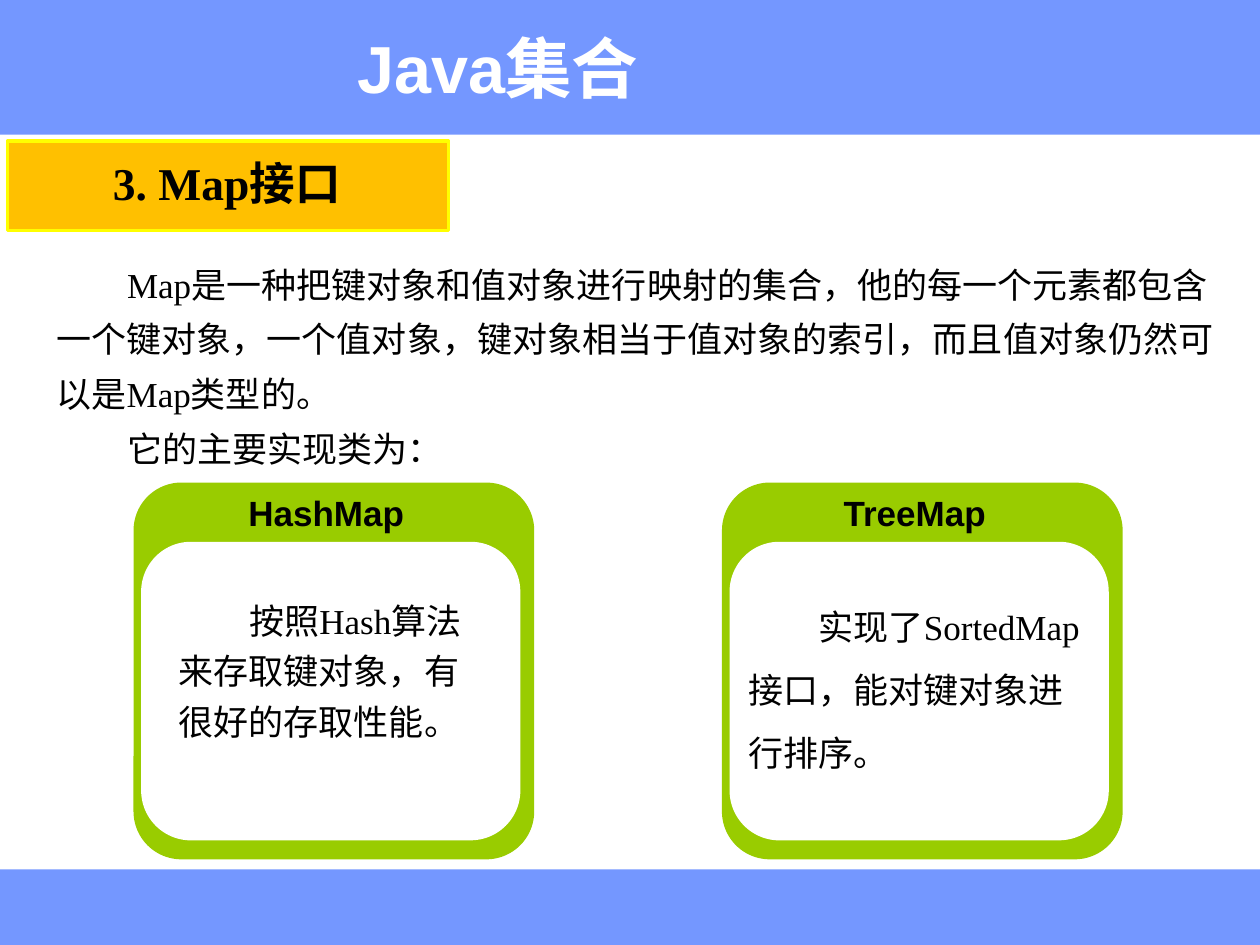
from pptx import Presentation
from pptx.dml.color import RGBColor
from pptx.enum.shapes import MSO_SHAPE as Shape
from pptx.enum.text import MSO_ANCHOR as Anchor, PP_ALIGN as Align
from pptx.oxml.ns import qn
from pptx.util import Inches, Pt
from lxml import etree

COLORS = {
    "bar": "3366FF",
    "label": "FFC000",
    "label_edge": "FFFF00",
    "card": "99CC00",
    "white": "FFFFFF",
    "black": "000000",
}
SERIF, SANS = "Times New Roman", "Arial"
FIRST_LINE = Inches(0.56)  # two characters at 20 pt

DEFINITION = [
    "Map是一种把键对象和值对象进行映射的集合，他的每一个元素都包含一个键对象，"
    "一个值对象，键对象相当于值对象的索引，而且值对象仍然可以是Map类型的。",
    "它的主要实现类为：",
]


def rgb(name):
    return RGBColor.from_string(COLORS[name])


def add_panel(slide, box, fill, corner=None, edge=None, opacity=None):
    """Filled rectangle, rounded when corner is given."""
    kind = Shape.RECTANGLE if corner is None else Shape.ROUNDED_RECTANGLE
    panel = slide.shapes.add_shape(kind, *map(Inches, box))
    panel.shadow.inherit = False
    panel.fill.solid()
    panel.fill.fore_color.rgb = rgb(fill)
    if corner is not None:
        panel.adjustments[0] = corner
    if edge:
        panel.line.color.rgb = rgb(edge)
        panel.line.width = Pt(2)
    else:
        panel.line.fill.background()
    if opacity:
        color = panel._element.spPr.find(qn("a:solidFill"))[0]
        etree.SubElement(color, qn("a:alpha"), val=str(opacity * 1000))


def add_text(slide, box, paragraphs, size=20, font=SERIF, color="black",
             bold=False, anchor=Anchor.TOP, indent=0, **layout):
    """Text box; layout holds paragraph attributes such as alignment."""
    frame = slide.shapes.add_textbox(*map(Inches, box)).text_frame
    frame.word_wrap = True
    frame.vertical_anchor = anchor
    font_values = {"size": Pt(size), "name": font, "bold": bold}
    for index, words in enumerate(paragraphs):
        paragraph = frame.add_paragraph() if index else frame.paragraphs[0]
        for name, value in layout.items():
            setattr(paragraph, name, value)
        if indent:
            properties = paragraph._p.get_or_add_pPr()
            properties.set("marL", "0")
            properties.set("indent", str(indent))
        run = paragraph.add_run()
        run.text = words
        for name, value in font_values.items():
            setattr(run.font, name, value)
        run.font.color.rgb = rgb(color)


def add_card(slide, left, class_name, description, box, spacing):
    add_panel(slide, (left, 3.83, 3.18, 2.99), "card", corner=0.127)
    add_panel(slide, (left + 0.06, 4.3, 3.01, 2.37), "white", corner=0.167)
    add_text(slide, (left + 0.5, 3.85, 2.06, 0.43), [class_name],
             font=SANS, bold=True, alignment=Align.CENTER)
    add_text(slide, box, [description], indent=FIRST_LINE, line_spacing=spacing)


def main():
    deck = Presentation()
    deck.slide_width, deck.slide_height = Inches(10), Inches(7.5)
    slide = deck.slides.add_slide(deck.slide_layouts[6])

    for top, height in ((0, 1.07), (6.9, 0.6)):
        add_panel(slide, (0, top, 10, height), "bar", opacity=68)
    add_text(slide, (0, 0.02, 7.9, 1.02), ["Java集合"], size=38, font=SANS,
             color="white", bold=True, anchor=Anchor.MIDDLE, alignment=Align.CENTER)

    add_panel(slide, (0.06, 1.12, 3.5, 0.71), "label", edge="label_edge")
    add_text(slide, (0.11, 1.18, 3.38, 0.53), ["3. Map接口"], size=26,
             bold=True, alignment=Align.CENTER)
    add_text(slide, (0.35, 1.94, 9.45, 1.84), DEFINITION,
             indent=FIRST_LINE, line_spacing=1.3)

    add_card(slide, 1.06, "HashMap", "按照Hash算法来存取键对象，有很好的存取性能。",
             (1.32, 4.64, 2.6, 1.7), 1.2)
    add_card(slide, 5.73, "TreeMap", "实现了SortedMap接口，能对键对象进行排序。",
             (5.84, 4.59, 2.97, 1.6), 1.5)

    deck.save("out.pptx")


if __name__ == "__main__":
    main()
